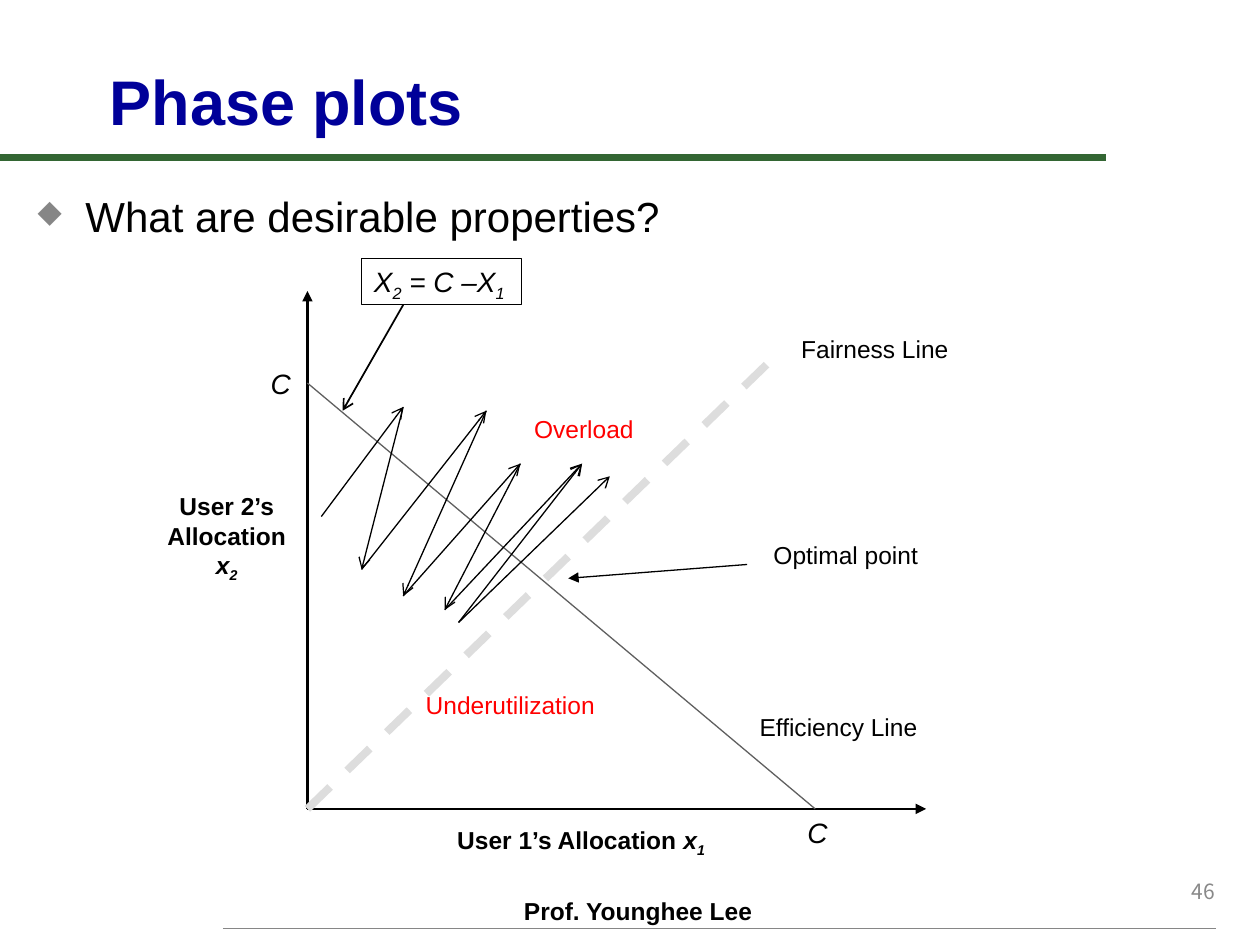
from itertools import pairwise

from lxml import etree
from pptx import Presentation
from pptx.dml.color import RGBColor
from pptx.enum.dml import MSO_LINE
from pptx.enum.shapes import MSO_CONNECTOR, MSO_SHAPE
from pptx.enum.text import MSO_ANCHOR, MSO_AUTO_SIZE, PP_ALIGN
from pptx.oxml.ns import qn
from pptx.util import Inches, Pt

STRAIGHT = MSO_CONNECTOR.STRAIGHT
DASH = MSO_LINE.DASH
RECTANGLE = MSO_SHAPE.RECTANGLE
TOP, MIDDLE, BOTTOM = MSO_ANCHOR.TOP, MSO_ANCHOR.MIDDLE, MSO_ANCHOR.BOTTOM
LEFT, CENTER, RIGHT = PP_ALIGN.LEFT, PP_ALIGN.CENTER, PP_ALIGN.RIGHT
NO_AUTOFIT = MSO_AUTO_SIZE.NONE

BLACK = RGBColor(0x00, 0x00, 0x00)
NAVY = RGBColor(0x00, 0x00, 0x99)
RED = RGBColor(0xFF, 0x00, 0x00)
GREEN = RGBColor(0x33, 0x66, 0x33)
RULE_GRAY = RGBColor(0x86, 0x86, 0x86)
NUMBER_GRAY = RGBColor(0x89, 0x89, 0x89)
DARK_GRAY = RGBColor(0x5F, 0x5F, 0x5F)
LIGHT_GRAY = RGBColor(0xDD, 0xDD, 0xDD)

FONT = "Arial"
NUMBER_FONT = "Noto Sans CJK KR"
ITALIC, SUBSCRIPT = "italic", "subscript"

TITLE = "Phase plots"
QUESTION = "What are desirable properties?"
FOOTER = "Prof. Younghee Lee"
SLIDE_NUMBER = "46"

ORIGIN = (2.44, 6.42)
RULES = [
    ((0, 1.25), (8.78, 1.25), GREEN, 4),
    ((1.77, 7.37), (9.65, 7.37), RULE_GRAY, 1),
]
AXIS_ENDS = [(2.44, 2.31), (7.35, 6.42)]
EFFICIENCY_LINE = ((2.44, 3.04), (6.47, 6.42))
FAIRNESS_END = (6.15, 2.83)
OPTIMAL_POINTER = ((5.93, 4.48), (4.51, 4.59))
EQUATION_POINTER = ((3.2, 2.42), (2.72, 3.26))
TRAJECTORIES = [
    [(2.55, 4.1), (3.2, 3.23), (2.87, 4.52), (3.86, 3.26), (3.2, 4.73),
     (4.13, 3.68), (3.53, 4.84), (4.62, 3.68)],
    [(3.64, 4.94), (4.62, 3.68)],
    [(3.64, 4.94), (4.84, 3.78)],
]

LABELS = [
    ("Efficiency Line", (5.93, 5.6, 1.46, 0.34), BLACK),
    ("Fairness Line", (6.26, 2.6, 1.38, 0.34), BLACK),
    ("Optimal point", (6.04, 4.24, 1.36, 0.34), BLACK),
    ("Overload", (4.14, 3.24, 1, 0.34), RED),
    ("Underutilization", (3.28, 5.43, 1.55, 0.34), RED),
]
AXIS_TITLES = [
    ([("User 1’s Allocation ",), ("x", ITALIC), ("1", ITALIC, SUBSCRIPT)],
     (3.53, 6.5, 2.19, 0.34), LEFT, False),
    ([("User 2’s Allocation ",), ("x", ITALIC), ("2", ITALIC, SUBSCRIPT)],
     (1.13, 3.85, 1.34, 0.81), CENTER, True),
]
INTERCEPTS = [(2.05, 2.86, 0.36, 0.37), (6.31, 6.42, 0.36, 0.37)]
EQUATION = [("X", ITALIC), ("2", ITALIC, SUBSCRIPT),
            (" = C –X", ITALIC), ("1", ITALIC, SUBSCRIPT)]
EQUATION_BOX = (2.87, 2.05, 1.27, 0.37)


def add_line(slide, start, end, color, width, arrow=None, dash=None):
    connector = slide.shapes.add_connector(
        STRAIGHT, *(Inches(value) for value in (*start, *end)))
    connector.line.color.rgb = color
    connector.line.width = Pt(width)
    if dash:
        connector.line.dash_style = dash
    if arrow:
        etree.SubElement(connector.line._get_or_add_ln(), qn("a:tailEnd"), type=arrow)
    etree.SubElement(connector._element.spPr, qn("a:effectLst"))


def fill_text(shape, parts, size, color=BLACK, bold=False, align=LEFT,
              wrap=False, anchor=TOP, font=FONT):
    frame = shape.text_frame
    frame.word_wrap = wrap
    frame.auto_size = NO_AUTOFIT
    frame.vertical_anchor = anchor
    paragraph = frame.paragraphs[0]
    paragraph.alignment = align
    paragraph.font.name = font
    paragraph.font.size = Pt(size)
    paragraph.font.bold = bold
    paragraph.font.color.rgb = color
    for text, *styles in parts:
        run = paragraph.add_run()
        run.text = text
        if ITALIC in styles:
            run.font.italic = True
        if SUBSCRIPT in styles:
            run._r.get_or_add_rPr().set("baseline", "-25000")
    return paragraph


def add_text(slide, box, parts, size, **options):
    shape = slide.shapes.add_textbox(*(Inches(value) for value in box))
    return fill_text(shape, parts, size, **options)


def add_bullet(paragraph, character, color, percent, indent):
    properties = paragraph._p.get_or_add_pPr()
    properties.set("marL", str(Inches(indent)))
    properties.set("indent", str(-Inches(indent)))
    bullet_color = etree.Element(qn("a:buClr"))
    etree.SubElement(bullet_color, qn("a:srgbClr"), val=str(color))
    bullet_size = etree.Element(qn("a:buSzPct"), val=str(percent * 1000))
    bullet = etree.Element(qn("a:buChar"), char=character)
    for position, element in enumerate((bullet_color, bullet_size, bullet)):
        properties.insert(position, element)


def add_frame(slide):
    for start, end, color, width in RULES:
        add_line(slide, start, end, color, width)
    add_text(slide, (4.06, 7.06, 2.08, 0.33), [(FOOTER,)], 14, bold=True)
    add_text(slide, (7.66, 6.82, 2.08, 0.5), [(SLIDE_NUMBER,)], 12, color=NUMBER_GRAY,
             align=RIGHT, anchor=MIDDLE, wrap=True, font=NUMBER_FONT)
    title = slide.shapes.title
    title.left, title.top, title.width, title.height = (
        Inches(value) for value in (0.77, 0.44, 8.15, 0.71))
    fill_text(title, [(TITLE,)], 36, color=NAVY, bold=True, wrap=True, anchor=BOTTOM)
    question = add_text(slide, (0.2, 1.46, 8.92, 0.6), [(QUESTION,)], 24, wrap=True)
    add_bullet(question, "◆", RULE_GRAY, 75, 0.38)


def add_plot(slide):
    for end in AXIS_ENDS:
        add_line(slide, ORIGIN, end, BLACK, 1.5, arrow="triangle")
    add_line(slide, *EFFICIENCY_LINE, DARK_GRAY, 0.75)
    add_line(slide, ORIGIN, FAIRNESS_END, LIGHT_GRAY, 4.5, dash=DASH)
    add_line(slide, *OPTIMAL_POINTER, BLACK, 0.75, arrow="triangle")
    for points in TRAJECTORIES:
        for start, end in pairwise(points):
            add_line(slide, start, end, BLACK, 0.75, arrow="arrow")

    for text, box, color in LABELS:
        add_text(slide, box, [(text,)], 14, color=color)
    for parts, box, align, wrap in AXIS_TITLES:
        add_text(slide, box, parts, 14, bold=True, align=align, wrap=wrap)
    for box in INTERCEPTS:
        add_text(slide, box, [("C", ITALIC)], 16)

    equation = slide.shapes.add_shape(RECTANGLE, *(Inches(value) for value in EQUATION_BOX))
    equation.shadow.inherit = False
    equation.fill.background()
    equation.line.color.rgb = BLACK
    equation.line.width = Pt(0.75)
    fill_text(equation, EQUATION, 16)
    add_line(slide, *EQUATION_POINTER, BLACK, 1, arrow="arrow")


def main():
    presentation = Presentation()
    presentation.slide_width = Inches(10)
    presentation.slide_height = Inches(7.5)
    slide = presentation.slides.add_slide(presentation.slide_layouts.get_by_name("Title Only"))
    add_frame(slide)
    add_plot(slide)
    presentation.save("out.pptx")


if __name__ == "__main__":
    main()
